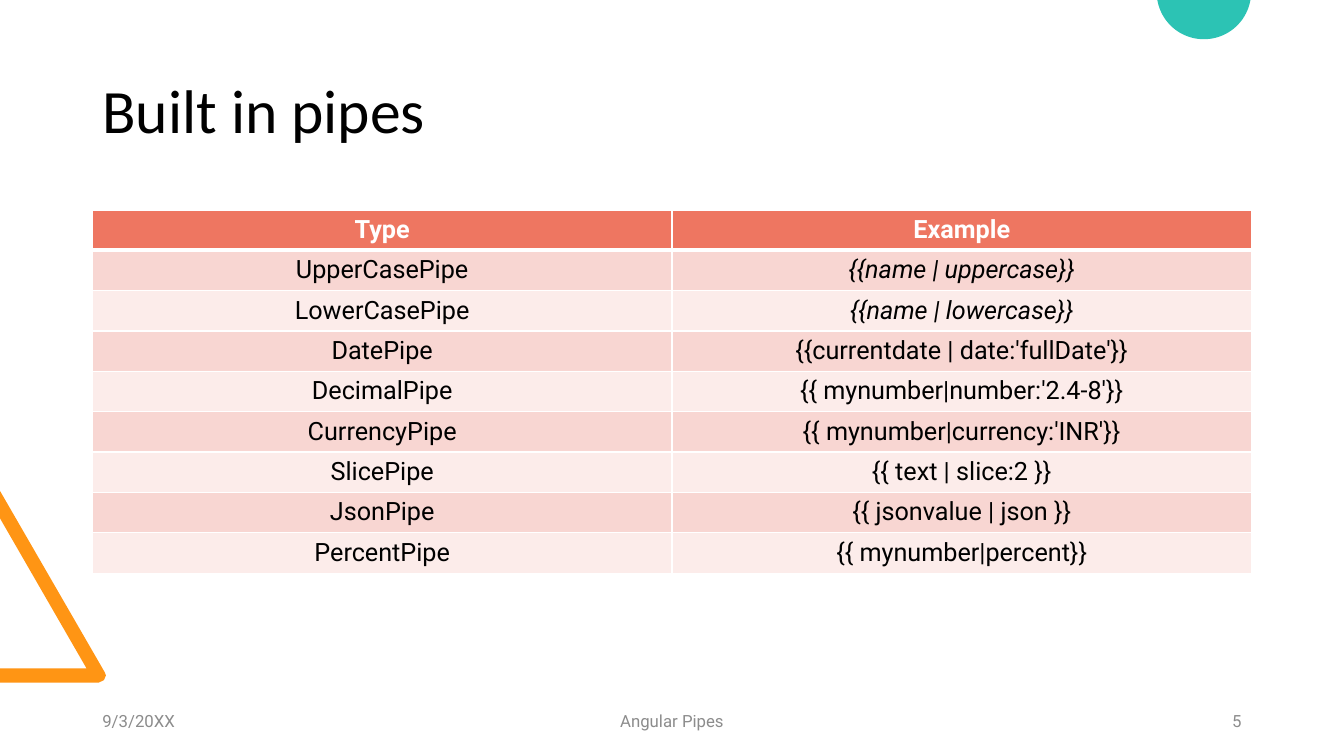
"""Build the slide listing built-in pipes with an example of each."""
from math import asin, cos, pi, sin

from lxml.etree import SubElement
from pptx import Presentation
from pptx.dml.color import RGBColor
from pptx.enum.text import MSO_ANCHOR as Anchor, PP_ALIGN as Align
from pptx.oxml.ns import qn
from pptx.util import Cm, Pt

COLORS = {
    "orange": "FF9514", "teal": "2CC3B4", "black": "000000", "gray": "8C8C8C",
    "white": "FFFFFF", "header": "EE7661", "odd": "F8D6D2", "even": "FCECEA",
}
LEFT, WIDTH = 2.33, 29.21


def style(paragraph, size, color, align, face="Roboto"):
    paragraph.alignment = align
    paragraph.font.name = face
    paragraph.font.size = Pt(size)
    paragraph.font.color.rgb = RGBColor.from_string(COLORS[color])


def add_border(cell, side, width):
    line = SubElement(cell._tc.get_or_add_tcPr(), qn(f"a:ln{side}"), w=str(Pt(width)))
    fill = SubElement(line, qn("a:solidFill"))
    SubElement(fill, qn("a:srgbClr"), val=COLORS["white"])


deck = Presentation()
deck.slide_width, deck.slide_height = Cm(33.87), Cm(19.05)
slide = deck.slides.add_slide(deck.slide_layouts[5])

triangle = [(0, 17.2), (0, 16.84), (2.18, 16.84), (0, 13.06), (0, 12.37),
            (2.64, 16.94), (2.67, 17.02), (2.62, 17.14), (2.49, 17.2)]
center_x, center_y, radius, steps = 30.34, -0.2, 1.19, 48
start = asin(-center_y / radius)
angles = [start + (pi - 2 * start) * step / steps for step in range(steps + 1)]
circle = [(center_x + radius * cos(a), center_y + radius * sin(a)) for a in angles]

for outline, color in ((triangle, "orange"), (circle, "teal")):
    points = [(Cm(x), Cm(y)) for x, y in outline]
    builder = slide.shapes.build_freeform(*points[0])
    builder.add_line_segments(points[1:], close=True)
    decoration = builder.convert_to_shape()
    decoration.shadow.inherit = False
    decoration.fill.solid()
    decoration.fill.fore_color.rgb = RGBColor.from_string(COLORS[color])
    decoration.line.fill.background()

title = slide.shapes.title
title.left, title.top, title.width, title.height = Cm(LEFT), Cm(1.02), Cm(WIDTH), Cm(3.68)
title.text_frame.text = "Built in pipes"
title.text_frame.vertical_anchor = Anchor.MIDDLE
heading = title.text_frame.paragraphs[0]
heading.line_spacing = 0.9
style(heading, 44, "black", Align.LEFT, "Calibri")

footers = [
    ("9/3/20XX", LEFT, 7.62, Align.LEFT),
    ("Angular Pipes", 11.22, 11.43, Align.CENTER),
    ("5", 23.92, 7.62, Align.RIGHT),
]
for text, left, width, align in footers:
    footer = slide.shapes.add_textbox(Cm(left), Cm(17.66), Cm(width), Cm(1.02)).text_frame
    footer.word_wrap = True
    footer.vertical_anchor = Anchor.MIDDLE
    footer.text = text
    style(footer.paragraphs[0], 12, "gray", align)

pipes = [
    ("Type", "Example"),
    ("UpperCasePipe", "{{name | uppercase}}"),
    ("LowerCasePipe", "{{name | lowercase}}"),
    ("DatePipe", "{{currentdate | date:'fullDate'}}"),
    ("DecimalPipe", "{{ mynumber|number:'2.4-8'}}"),
    ("CurrencyPipe", "{{ mynumber|currency:'INR'}}"),
    ("SlicePipe", "{{ text | slice:2 }}"),
    ("JsonPipe", "{{ jsonvalue | json }}"),
    ("PercentPipe", "{{ mynumber|percent}}"),
]
table = slide.shapes.add_table(
    len(pipes), 2, Cm(LEFT), Cm(5.29), Cm(WIDTH), Cm(9.14)).table
for row, entries in enumerate(pipes):
    is_header = row == 0
    band = "header" if is_header else "odd" if row % 2 else "even"
    for column, text in enumerate(entries):
        cell = table.cell(row, column)
        top, bottom = 3 if row == 1 else 1, 3 if is_header else 1
        for side, width in (("L", 1), ("R", 1), ("T", top), ("B", bottom)):
            add_border(cell, side, width)
        cell.fill.solid()
        cell.fill.fore_color.rgb = RGBColor.from_string(COLORS[band])
        cell.text = text
        entry = cell.text_frame.paragraphs[0]
        style(entry, 18, "white" if is_header else "black", Align.CENTER)
        entry.font.bold = is_header
        entry.font.italic = column == 1 and row in (1, 2)

deck.save("out.pptx")
